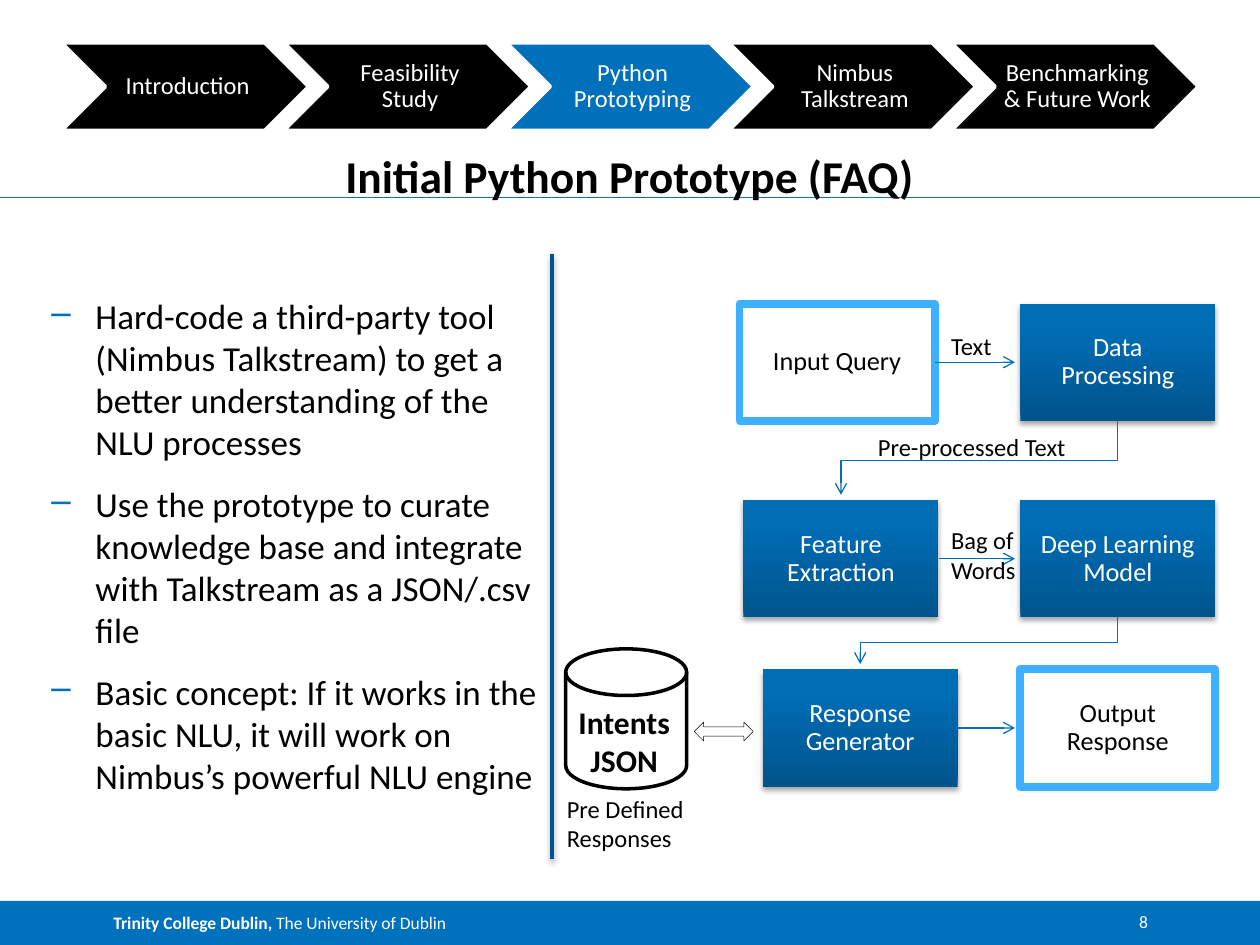
from dataclasses import dataclass

from lxml import etree
from pptx import Presentation
from pptx import util as u
from pptx.dml.color import RGBColor
from pptx.enum import shapes, text
from pptx.oxml.ns import qn

Pt = u.Pt
KIND = shapes.MSO_SHAPE
ALIGN = {"l": text.PP_ALIGN.LEFT, "c": text.PP_ALIGN.CENTER, "r": text.PP_ALIGN.RIGHT}
ANCHOR = {"t": text.MSO_ANCHOR.TOP, "m": text.MSO_ANCHOR.MIDDLE, "b": text.MSO_ANCHOR.BOTTOM}


@dataclass(frozen=True)
class Theme:
    font: str = "Calibri"
    black: str = "000000"
    white: str = "FFFFFF"
    blue: str = "0070BB"
    bar: str = "0071BC"
    rule: str = "0E73B9"
    deep: str = "00548C"
    mid: str = "006DB5"
    sky: str = "3DB1FF"
    title: float = 26
    body: float = 20
    store: float = 18
    node: float = 15
    label: float = 14
    foot: float = 10


def rgb(code):
    return RGBColor.from_string(code)


def sub(parent, tag, **attrs):
    return etree.SubElement(parent, qn(tag), {k: str(v) for k, v in attrs.items()})


def write(shape, paras, size, color, font, bold=False, align="l", anchor="t",
          inset=(7.2, 3.6, 7.2, 3.6), lead=None, gap=0, dash=None):
    """Fill a shape with paragraphs; each is a string or a list of (words, bold)."""
    frame = shape.text_frame
    frame.word_wrap = True
    frame.vertical_anchor = ANCHOR[anchor]
    (frame.margin_left, frame.margin_top,
     frame.margin_right, frame.margin_bottom) = map(Pt, inset)
    for i, item in enumerate([paras] if isinstance(paras, str) else paras):
        para = frame.add_paragraph() if i else frame.paragraphs[0]
        para.alignment = ALIGN[align]
        if lead:
            para.line_spacing = lead
        if gap and i:
            para.space_before = Pt(gap)
        if dash:
            props = para._p.get_or_add_pPr()
            props.set("marL", str(Pt(25.2)))
            props.set("indent", str(-Pt(25.2)))
            sub(sub(props, "a:buClr"), "a:srgbClr", val=dash)
            sub(props, "a:buChar", char="–")
        for words, strong in [(item, bold)] if isinstance(item, str) else item:
            run = para.add_run()
            run.text = words
            run.font.name, run.font.size, run.font.bold = font, Pt(size), strong
            run.font.color.rgb = rgb(color)


class Deck:
    def __init__(self, theme, slide):
        self.theme, self.slide = theme, slide

    def shade(self, props, alpha=35):
        """Add a soft shadow below, after fill and line are set."""
        fx = props.find(qn("a:effectLst"))
        drop = sub(fx, "a:outerShdw", blurRad=Pt(3.1), dist=Pt(1.8), dir=5400000,
                   rotWithShape=0)
        sub(sub(drop, "a:srgbClr", val=self.theme.black), "a:alpha", val=alpha * 1000)

    def shape(self, kind, x, y, w, h, fill=None, line=None, width=1):
        item = self.slide.shapes.add_shape(kind, Pt(x), Pt(y), Pt(w), Pt(h))
        item.shadow.inherit = False
        if fill:
            item.fill.solid()
            item.fill.fore_color.rgb = rgb(fill)
        else:
            item.fill.background()
        if line:
            item.line.color.rgb = rgb(line)
            item.line.width = Pt(width)
        else:
            item.line.fill.background()
        return item

    def text(self, x, y, w, h, words, size, color=None, **form):
        box = self.slide.shapes.add_textbox(Pt(x), Pt(y), Pt(w), Pt(h))
        write(box, words, size, color or self.theme.black, self.theme.font, **form)

    def step(self, x, words, fill):
        t = self.theme
        item = self.shape(KIND.CHEVRON, x, 24.5, 141, 50, fill, t.white, 2)
        write(item, words, t.label, t.white, t.font, align="c", anchor="m",
              inset=(4.3, 1.4, 1.4, 1.4), lead=0.9)

    def node(self, x, y, words, solid=True):
        t = self.theme
        item = self.shape(KIND.RECTANGLE, x, y, BOX_W, BOX_H, t.white,
                          None if solid else t.sky, 4.5)
        if solid:
            item.fill.gradient()
            item.fill.gradient_angle = 90
            for stop, (place, color) in zip(item.fill.gradient_stops,
                                            [(0, t.deep), (0.8, t.mid)]):
                stop.position = place
                stop.color.rgb = rgb(color)
            self.shade(item._element.spPr)
        write(item, words, t.node, t.white if solid else t.black, t.font,
              align="c", anchor="m", inset=(8.6,) * 4, lead=0.9)
        return item

    def line(self, start, end, color, width, source=None, shadow=False):
        """Draw a straight line; a source box gives it an arrowhead."""
        item = self.slide.shapes.add_connector(
            shapes.MSO_CONNECTOR.STRAIGHT, *map(Pt, start + end))
        item.line.color.rgb = rgb(color)
        item.line.width = Pt(width)
        props = item._element.spPr
        if source:
            item.begin_connect(source, 3)
            sub(props.find(qn("a:ln")), "a:tailEnd", type="arrow")
        sub(props, "a:effectLst")
        if shadow:
            self.shade(props, 38)

    def bend(self, x, y, turn, x2, y2):
        """Draw an arrow that goes down, across and down again."""
        path = self.slide.shapes.build_freeform(Pt(x), Pt(y))
        path.add_line_segments([(Pt(a), Pt(b)) for a, b in
                                [(x, turn), (x2, turn), (x2, y2)]], close=False)
        item = path.convert_to_shape()
        item.shadow.inherit = False
        item.fill.background()
        item.line.color.rgb = rgb(self.theme.blue)
        item.line.width = Pt(0.75)
        sub(item._element.spPr.find(qn("a:ln")), "a:tailEnd", type="arrow")


# Flow grid
BOX_W, BOX_H = 111.5, 67
RIGHT = 583
ROWS = (173.5, 285.8, 382.5)
GAP = 3

t = Theme()
prs = Presentation()
prs.slide_width, prs.slide_height = Pt(720), Pt(540)
deck = Deck(t, prs.slides.add_slide(prs.slide_layouts[6]))

# Title rule and footer
deck.line((0, 113), (720, 113), t.rule, 0.75)
foot = deck.shape(KIND.RECTANGLE, 0, 514.8, 720, 25.2, t.bar)
write(foot, [[("Trinity College Dublin, ", True), ("The University of Dublin", False)]],
      t.foot, t.white, t.font, anchor="m", inset=(64.8, 0, 7.2, 0))
deck.text(626.4, 520.6, 29.5, 12.2, "8", t.foot, t.white, align="r", inset=(0,) * 4)

# Title and points
deck.text(64.8, 80.6, 590.4, 35.3, "Initial Python Prototype (FAQ)", t.title,
          bold=True, align="c", anchor="b", inset=(0,) * 4)
deck.text(22.3, 165, 297.4, 309.5, [
    "Hard-code a third-party tool (Nimbus Talkstream) to get a better "
    "understanding of the NLU processes",
    "Use the prototype to curate knowledge base and integrate with Talkstream "
    "as a JSON/.csv file",
    "Basic concept: If it works in the basic NLU, it will work on Nimbus’s "
    "powerful NLU engine",
], t.body, gap=11.3, dash=t.blue)

# Flow boxes
query = deck.node(422.6, ROWS[0], "Input Query", solid=False)
deck.node(RIGHT, ROWS[0], "Data Processing")
feature = deck.node(424.8, ROWS[1], "Feature Extraction")
deck.node(RIGHT, ROWS[1], "Deep Learning Model")
reply = deck.node(435.8, ROWS[2], "Response Generator")
deck.node(RIGHT, ROWS[2], "Output Response", solid=False)

# Flow arrows
for box, top in zip((query, feature, reply), ROWS):
    mid = top + BOX_H / 2
    deck.line((RIGHT - 40, mid), (RIGHT - GAP, mid), t.blue, 0.75, source=box)
for top, turn, goal, low in ((ROWS[0], 263, feature, ROWS[1]),
                             (ROWS[1], 367.3, reply, ROWS[2])):
    drop = goal.left.pt + BOX_W / 2
    deck.bend(RIGHT + BOX_W / 2, top + BOX_H, turn, drop, low - GAP)

# Intents store
deck.shape(KIND.FLOWCHART_MAGNETIC_DISK, 323.3, 370.8, 69.1, 80, t.white, t.black, 2)
deck.text(321.8, 398.2, 69.8, 51, "Intents JSON", t.store, bold=True, align="c")
deck.shape(KIND.LEFT_RIGHT_ARROW, 396.7, 412.6, 33.8, 10.8, line=t.black, width=0.25)

# Labels
for x, y, w, h, words in ((536.4, 185.8, 43.9, 24.5, "Text"),
                          (494.6, 243.4, 126.7, 24.5, "Pre-processed Text"),
                          (536.4, 296.6, 55.4, 41, "Bag of Words"),
                          (316.8, 450, 82.8, 41, "Pre Defined Responses")):
    deck.text(x, y, w, h, words, t.label)

# Progress steps
STEPS = ("Introduction", "Feasibility Study", "Python Prototyping",
         "Nimbus Talkstream", "Benchmarking & Future Work")
for i, name in enumerate(STEPS):
    deck.step(35.3 + 127.1 * i, name, t.blue if i == 2 else t.black)

# Divider
deck.line((315.4, 145.4), (315.4, 491), t.deep, 2, shadow=True)

prs.save("out.pptx")
